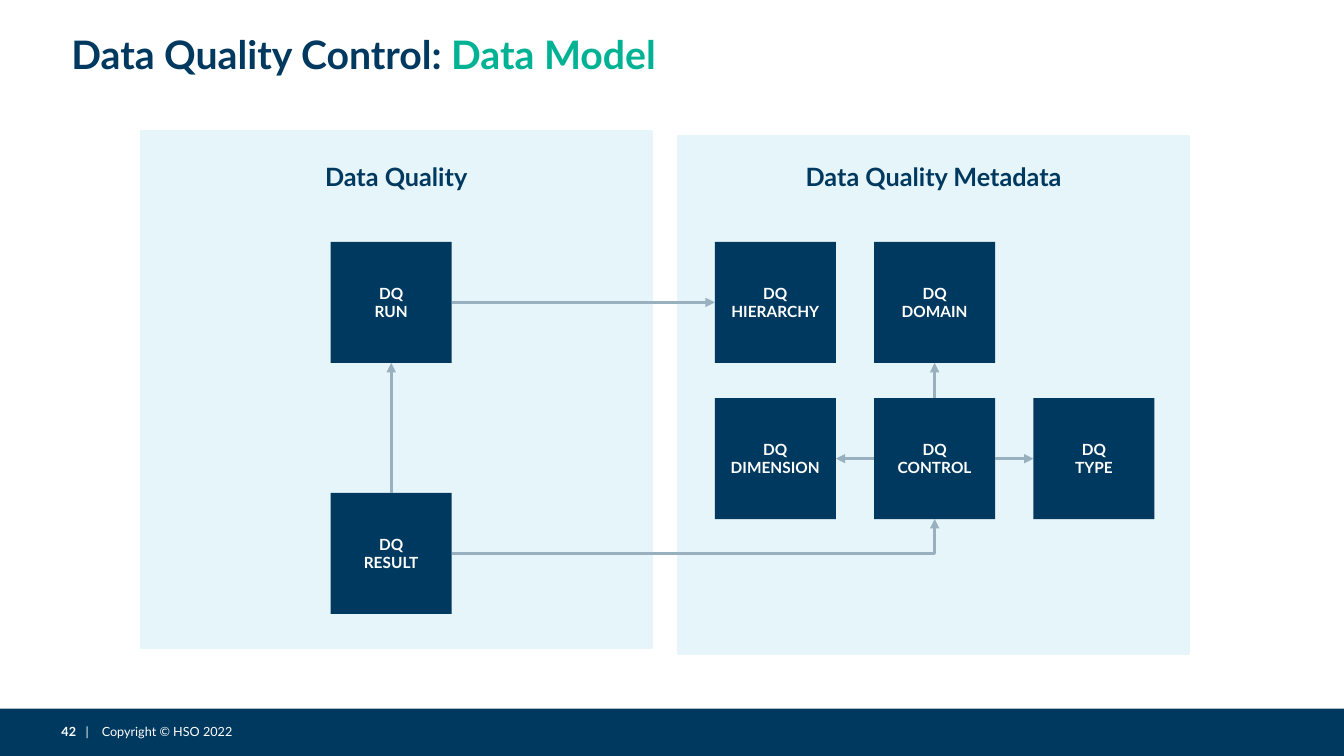
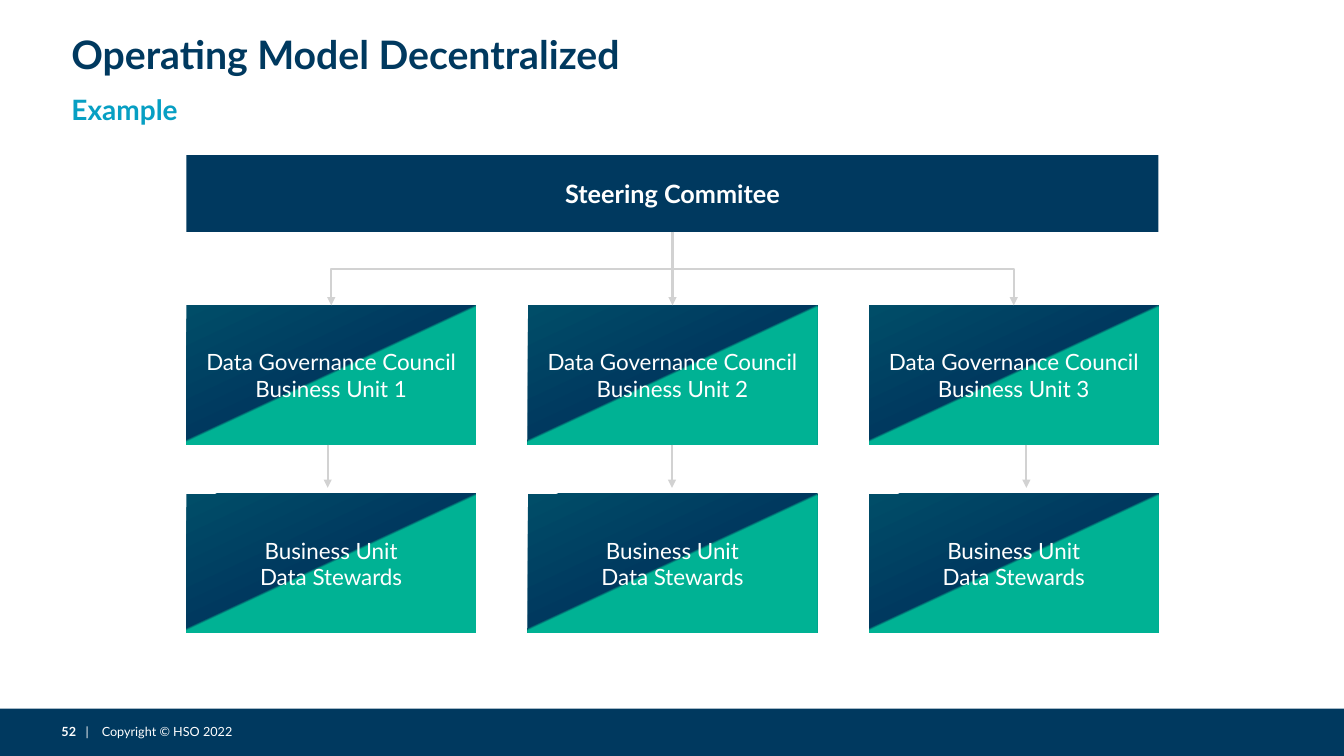
from dataclasses import dataclass

from lxml import etree
from pptx import Presentation
from pptx.dml.color import RGBColor
from pptx.enum.shapes import MSO_CONNECTOR, MSO_SHAPE
from pptx.enum.text import MSO_ANCHOR, PP_ALIGN
from pptx.oxml.ns import qn
from pptx.util import Inches, Pt

RECTANGLE = MSO_SHAPE.RECTANGLE
STRAIGHT, ELBOW = MSO_CONNECTOR.STRAIGHT, MSO_CONNECTOR.ELBOW
LEFT, CENTER = PP_ALIGN.LEFT, PP_ALIGN.CENTER
TOP, MIDDLE = MSO_ANCHOR.TOP, MSO_ANCHOR.MIDDLE
SIDE_TOP, SIDE_LEFT, SIDE_BOTTOM, SIDE_RIGHT = range(4)

NAVY = RGBColor(0x00, 0x39, 0x5F)
DEEP_TEAL = RGBColor(0x00, 0x4D, 0x68)
GREEN = RGBColor(0x00, 0xB2, 0x94)
CYAN = RGBColor(0x07, 0x9F, 0xC3)
PALE_BLUE = RGBColor(0xE5, 0xF5, 0xF9)
GREY_BLUE = RGBColor(0x99, 0xB0, 0xBF)
GREY = RGBColor(0xD2, 0xD2, 0xD2)
WHITE = RGBColor(0xFF, 0xFF, 0xFF)

FONT = "Lato"
SLIDE_W, SLIDE_H = 13.33, 7.5
MARGIN = 0.61
TEXT_INSETS = (0.1, 0.05)
CARD_INSETS = (0.12, 0.12)
DIAGONAL_STOPS = ((0, DEEP_TEAL), (49, NAVY), (50, GREEN), (100, GREEN))


@dataclass
class Box:
    """A rectangle in inches."""
    x: float
    y: float
    w: float
    h: float

    def inner(self, dx, dy, w, h):
        return Box(self.x + dx, self.y + dy, w, h)

    def emu(self):
        return [Inches(v) for v in (self.x, self.y, self.w, self.h)]


def write(shape, paragraphs, size, align=LEFT, anchor=TOP, insets=TEXT_INSETS):
    """Each paragraph is a list of (text, colour, bold) runs."""
    frame = shape.text_frame
    frame.word_wrap = True
    frame.vertical_anchor = anchor
    frame.margin_left = frame.margin_right = Inches(insets[0])
    frame.margin_top = frame.margin_bottom = Inches(insets[1])
    for index, runs in enumerate(paragraphs):
        paragraph = frame.add_paragraph() if index else frame.paragraphs[0]
        paragraph.alignment = align
        for text, colour, bold in runs:
            run = paragraph.add_run()
            run.text = text
            run.font.name = FONT
            run.font.size = Pt(size)
            run.font.bold = bold
            run.font.color.rgb = colour
    return frame


def add_text(slide, box, paragraphs, size, **style):
    return write(slide.shapes.add_textbox(*box.emu()), paragraphs, size, **style)


def add_rectangle(slide, box, colour):
    shape = slide.shapes.add_shape(RECTANGLE, *box.emu())
    shape.shadow.inherit = False
    shape.fill.solid()
    shape.fill.fore_color.rgb = colour
    shape.line.fill.background()
    return shape


def add_card(slide, box, lines, size, bold=False):
    card = add_rectangle(slide, box, NAVY)
    write(card, [[(line, WHITE, bold)] for line in lines], size,
          align=CENTER, anchor=MIDDLE, insets=CARD_INSETS)
    return card


def fill_diagonally(card):
    card.fill.gradient()
    card.fill.gradient_angle = 295
    stops = card._element.spPr.find(".//" + qn("a:gsLst"))
    for stop in list(stops):
        stops.remove(stop)
    for percent, colour in DIAGONAL_STOPS:
        stop = etree.SubElement(stops, qn("a:gs"), pos=str(percent * 1000))
        etree.SubElement(stop, qn("a:srgbClr"), val=str(colour))


def add_arrow(slide, kind, start, end, colour, width):
    arrow = slide.shapes.add_connector(kind, *start, *end)
    arrow.line.color.rgb = colour
    arrow.line.width = Pt(width)
    properties = arrow._element.spPr
    etree.SubElement(properties.find(qn("a:ln")), qn("a:tailEnd"), type="triangle")
    etree.SubElement(properties, qn("a:effectLst"))
    return arrow


def join(slide, source, source_side, target, target_side, colour, width, kind=STRAIGHT):
    arrow = add_arrow(slide, kind, (0, 0), (0, 0), colour, width)
    arrow.begin_connect(source, source_side)
    arrow.end_connect(target, target_side)
    return arrow


def join_around_corner(slide, source, target, colour, width):
    """Leave the source on its right and enter the target from below."""
    arrow = join(slide, source, SIDE_RIGHT, target, SIDE_BOTTOM, colour, width, ELBOW)
    arrow._element.spPr.find(qn("a:prstGeom")).set("prst", "bentConnector2")


def join_downwards(slide, parent, child, colour, width):
    """Leave the parent from below and enter the child from above."""
    parent_x = parent.left + parent.width // 2
    child_x = child.left + child.width // 2
    run, drop = child_x - parent_x, child.top - parent.top - parent.height
    straight = abs(run) < Inches(0.01)
    arrow = join(slide, parent, SIDE_BOTTOM, child, SIDE_TOP, colour, width,
                 STRAIGHT if straight else ELBOW)
    if straight:
        return
    # The elbow runs sideways first, so its frame is turned a quarter.
    frame = arrow._element.spPr.find(qn("a:xfrm"))
    for flip in ("flipH", "flipV"):
        frame.attrib.pop(flip, None)
    frame.set("rot", str((90 if run < 0 else 270) * 60000))
    if run > 0:
        frame.set("flipH", "1")
    arrow.left = (parent_x + child_x - drop) // 2
    arrow.top = parent.top + parent.height + (drop - abs(run)) // 2
    arrow.width, arrow.height = drop, abs(run)


def add_footer(slide, number):
    band = Box(0, 7.03, SLIDE_W, SLIDE_H - 7.03)
    add_rectangle(slide, band, NAVY)
    frame = add_text(slide, band.inner(MARGIN, 0.15, 2.4, 0.15), [[]], 9)
    tabs = etree.SubElement(frame.paragraphs[0]._p.get_or_add_pPr(), qn("a:tabLst"))
    for stop in (0.24, 0.4):
        etree.SubElement(tabs, qn("a:tab"), pos=str(Inches(stop)), algn="l")
    for text, bold in ((str(number), True), ("\t|\tCopyright © HSO 2022", False)):
        run = frame.paragraphs[0].add_run()
        run.text = text
        run.font.name, run.font.size, run.font.bold = FONT, Pt(9), bold
        run.font.color.rgb = WHITE
    frame.vertical_anchor = MIDDLE
    frame.margin_left = frame.margin_right = 0
    frame.margin_top = frame.margin_bottom = 0


def add_base_slide(deck, number, title, accent=None):
    slide = deck.slides.add_slide(deck.slide_layouts[6])
    add_footer(slide, number)
    runs = [(title, NAVY, True)] + ([(accent, GREEN, True)] if accent else [])
    add_text(slide, Box(MARGIN, 0.26, 12.11, 0.55), [runs], 28,
             anchor=MIDDLE, insets=(0.1, 0.04))
    return slide


def add_entity_panel(slide, box, heading, heading_drop, entities):
    """Entities map a name to its offset in the panel; returns name to card."""
    panel = add_rectangle(slide, box, PALE_BLUE)
    panel.line.color.rgb = PALE_BLUE
    panel.line.width = Pt(2)
    add_text(slide, box.inner(0, heading_drop, box.w, 0.4),
             [[(heading, NAVY, True)]], 18, align=CENTER)
    return {name: add_card(slide, box.inner(dx, dy, 1.2, 1.2), ("DQ", name), 11, True)
            for name, (dx, dy) in entities.items()}


def add_data_model(deck):
    slide = add_base_slide(deck, 42, "Data Quality Control: ", "Data Model")
    cards = add_entity_panel(
        slide, Box(1.4, 1.3, 5.06, 5.13), "Data Quality", 0.25,
        {"RUN": (1.88, 1.1), "RESULT": (1.88, 3.59)})
    grid = {"HIERARCHY": (0, 0), "DOMAIN": (1, 0),
            "DIMENSION": (0, 1), "CONTROL": (1, 1), "TYPE": (2, 1)}
    cards |= add_entity_panel(
        slide, Box(6.73, 1.35, 5.06, 5.13), "Data Quality Metadata", 0.2,
        {name: (0.36 + 1.58 * column, 1.05 + 1.55 * row)
         for name, (column, row) in grid.items()})
    for source, source_side, target, target_side in (
            ("RESULT", SIDE_TOP, "RUN", SIDE_BOTTOM),
            ("RUN", SIDE_RIGHT, "HIERARCHY", SIDE_LEFT),
            ("CONTROL", SIDE_LEFT, "DIMENSION", SIDE_RIGHT),
            ("CONTROL", SIDE_TOP, "DOMAIN", SIDE_BOTTOM),
            ("CONTROL", SIDE_RIGHT, "TYPE", SIDE_LEFT)):
        join(slide, cards[source], source_side, cards[target], target_side,
             GREY_BLUE, 2.25)
    join_around_corner(slide, cards["RESULT"], cards["CONTROL"], GREY_BLUE, 2.25)


def add_business_unit(slide, box, number, committee, arrow_x):
    """A council above its stewards, in one column of the chart."""
    card_h = 1.38
    council = add_card(slide, box.inner(0, 0, box.w, card_h),
                       [f"Data Governance Council Business Unit {number}"], 16)
    stewards = add_card(slide, box.inner(0, box.h - card_h, box.w, card_h),
                        ["Business Unit", "Data Stewards"], 16)
    for card in (council, stewards):
        fill_diagonally(card)
    add_arrow(slide, STRAIGHT,
              (Inches(box.x + arrow_x), council.top + council.height),
              (Inches(box.x + arrow_x), stewards.top - Inches(0.06)), GREY, 1.5)
    join_downwards(slide, committee, council, GREY, 1.5)


def add_operating_model(deck):
    slide = add_base_slide(deck, 52, "Operating Model Decentralized")
    subtitle = add_text(slide, Box(MARGIN, 0.8, 8.28, 0.47),
                        [[("Example", CYAN, True)]], 20)
    subtitle.paragraphs[0].line_spacing = 1.2

    chart = Box(1.85, 1.54, 9.64, 4.74)
    committee = add_card(slide, chart.inner(0, 0, chart.w, 0.76),
                         ["Steering Commitee"], 18, True)
    unit_w = 2.87
    pitch = (chart.w - unit_w) / 2
    for column, arrow_x in enumerate((1.4, 1.43, 1.56)):
        unit = chart.inner(column * pitch, 1.49, unit_w, chart.h - 1.49)
        add_business_unit(slide, unit, column + 1, committee, arrow_x)


def main():
    deck = Presentation()
    deck.slide_width, deck.slide_height = Inches(SLIDE_W), Inches(SLIDE_H)
    add_data_model(deck)
    add_operating_model(deck)
    deck.save("out.pptx")


if __name__ == "__main__":
    main()
